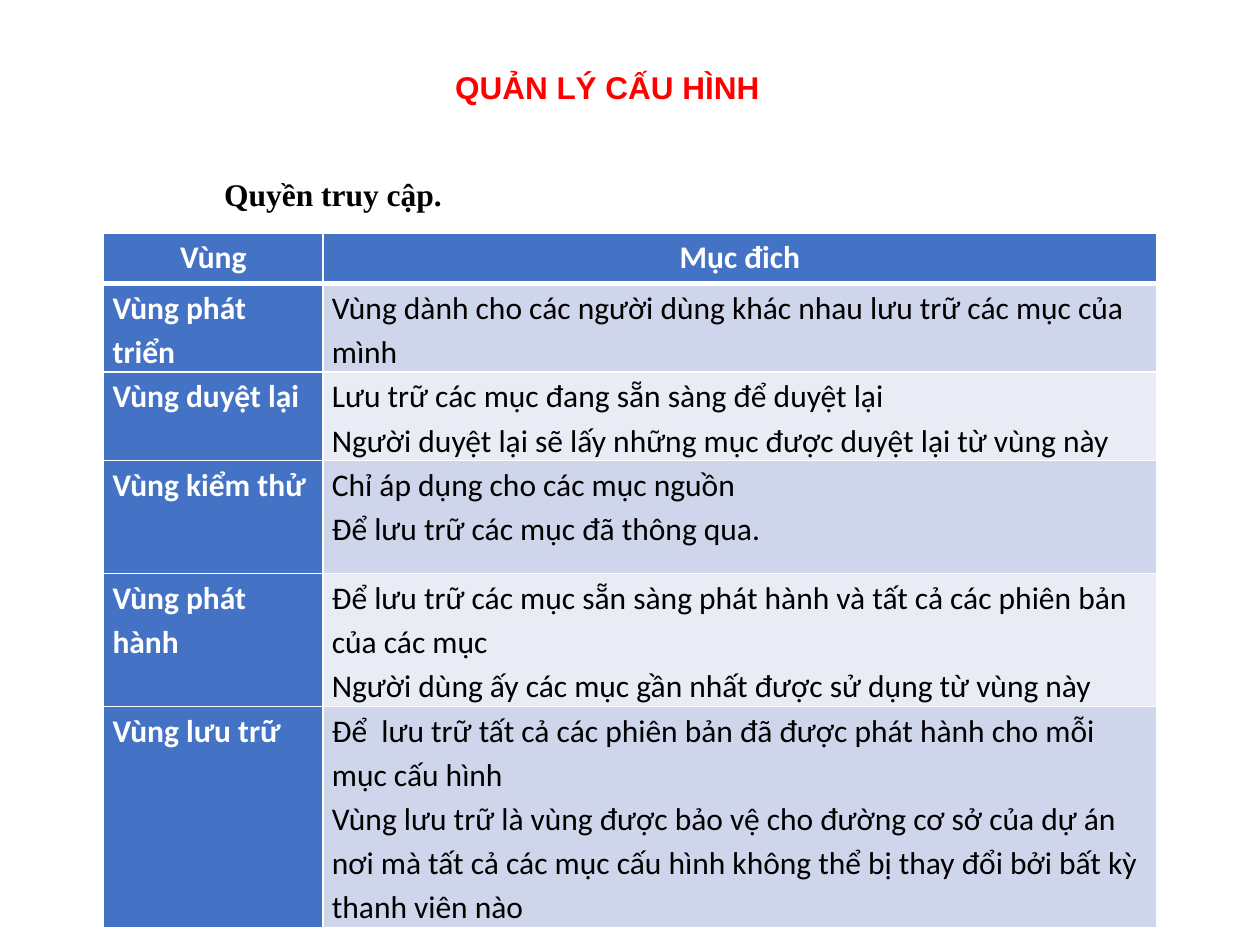
"""Build the slide on access rights in configuration management."""
from lxml import etree
from pptx import Presentation, util as u
from pptx.dml.color import RGBColor
from pptx.enum import text
from pptx.oxml.ns import qn

COLORS = {
    "white": "FFFFFF", "black": "000000", "red": "FF0000",
    "blue": "4472C4", "dark_band": "CFD5EA", "light_band": "E9EBF5",
}
HEADINGS = [
    ("QUẢN LÝ CẤU HÌNH", "Arial", "red", (8.89, 1.24, 6.71, 1.02), text.PP_ALIGN.CENTER),
    ("Quyền truy cập.", "Times New Roman", "black", (4.27, 3.4, 4.95, 1.02), text.PP_ALIGN.LEFT),
]
ZONES = [
    ("Vùng", ["Mục đich"]),
    ("Vùng phát triển", ["Vùng dành cho các người dùng khác nhau lưu trữ các mục của mình"]),
    ("Vùng duyệt lại", [
        "Lưu trữ các mục đang sẵn sàng để duyệt lại",
        "Người duyệt lại sẽ lấy những mục được duyệt lại từ vùng này"]),
    ("Vùng kiểm thử", ["Chỉ áp dụng cho các mục nguồn", "Để lưu trữ các mục đã thông qua."]),
    ("Vùng phát hành", [
        "Để lưu trữ các mục sẵn sàng phát hành và tất cả các phiên bản của các mục",
        "Người dùng ấy các mục gần nhất được sử dụng từ vùng này"]),
    ("Vùng lưu trữ", [
        "Để  lưu trữ tất cả các phiên bản đã được phát hành cho mỗi mục cấu hình",
        "Vùng lưu trữ là vùng được bảo vệ cho đường cơ sở của dự án nơi mà tất cả "
        "các mục cấu hình không thể bị thay đổi bởi bất kỳ thanh viên nào"]),
]
TABLE_LEFT, TABLE_TOP = 2.09, 4.7
COLUMN_WIDTHS = [4.42, 16.81]
ROW_HEIGHTS = [1.02, 1.68, 1.7, 2.28, 2.36, 3.6]


def style(paragraph, font, color, bold, align):
    paragraph.alignment = align
    paragraph.font.name = font
    paragraph.font.size = u.Pt(18)
    paragraph.font.bold = bold
    paragraph.font.color.rgb = RGBColor.from_string(COLORS[color])


def add_heading(slide, wording, font, color, place, align):
    heading = slide.shapes.add_textbox(*map(u.Cm, place))
    frame = heading.text_frame
    frame.word_wrap = False
    frame.auto_size = text.MSO_AUTO_SIZE.SHAPE_TO_FIT_TEXT
    frame.text = wording
    style(frame.paragraphs[0], font, color, True, align)


def add_borders(cell, row):
    widths = {"L": 1, "R": 1, "T": 3 if row == 1 else 1, "B": 3 if row == 0 else 1}
    properties = cell._tc.get_or_add_tcPr()
    for side, width in widths.items():
        line = etree.SubElement(properties, qn(f"a:ln{side}"), w=str(u.Pt(width)))
        fill = etree.SubElement(line, qn("a:solidFill"))
        etree.SubElement(fill, qn("a:srgbClr"), val=COLORS["white"])


def fill_cell(cell, row, column, lines):
    strong = row == 0 or column == 0
    band = "dark_band" if row % 2 else "light_band"
    add_borders(cell, row)
    cell.fill.solid()
    cell.fill.fore_color.rgb = RGBColor.from_string(COLORS["blue" if strong else band])
    cell.margin_left = cell.margin_right = u.Cm(0.18)
    cell.margin_top = cell.margin_bottom = 0
    cell.text_frame.text = "\n".join(lines)
    align = text.PP_ALIGN.CENTER if row == 0 else text.PP_ALIGN.LEFT
    for paragraph in cell.text_frame.paragraphs:
        style(paragraph, "Calibri", "white" if strong else "black", strong, align)
        paragraph.line_spacing = 1.15


def add_zones(slide):
    zones = slide.shapes.add_table(
        len(ZONES), len(COLUMN_WIDTHS), u.Cm(TABLE_LEFT), u.Cm(TABLE_TOP),
        u.Cm(sum(COLUMN_WIDTHS)), u.Cm(sum(ROW_HEIGHTS))).table
    for column, width in zip(zones.columns, COLUMN_WIDTHS):
        column.width = u.Cm(width)
    for row, (zone, purposes) in enumerate(ZONES):
        zones.rows[row].height = u.Cm(ROW_HEIGHTS[row])
        for column, lines in enumerate(([zone], purposes)):
            fill_cell(zones.cell(row, column), row, column, lines)


def main():
    deck = Presentation()
    deck.slide_width, deck.slide_height = u.Cm(25.4), u.Cm(19.05)
    slide = deck.slides.add_slide(deck.slide_layouts[6])
    add_zones(slide)
    for heading in HEADINGS:
        add_heading(slide, *heading)
    deck.save("out.pptx")


if __name__ == "__main__":
    main()
